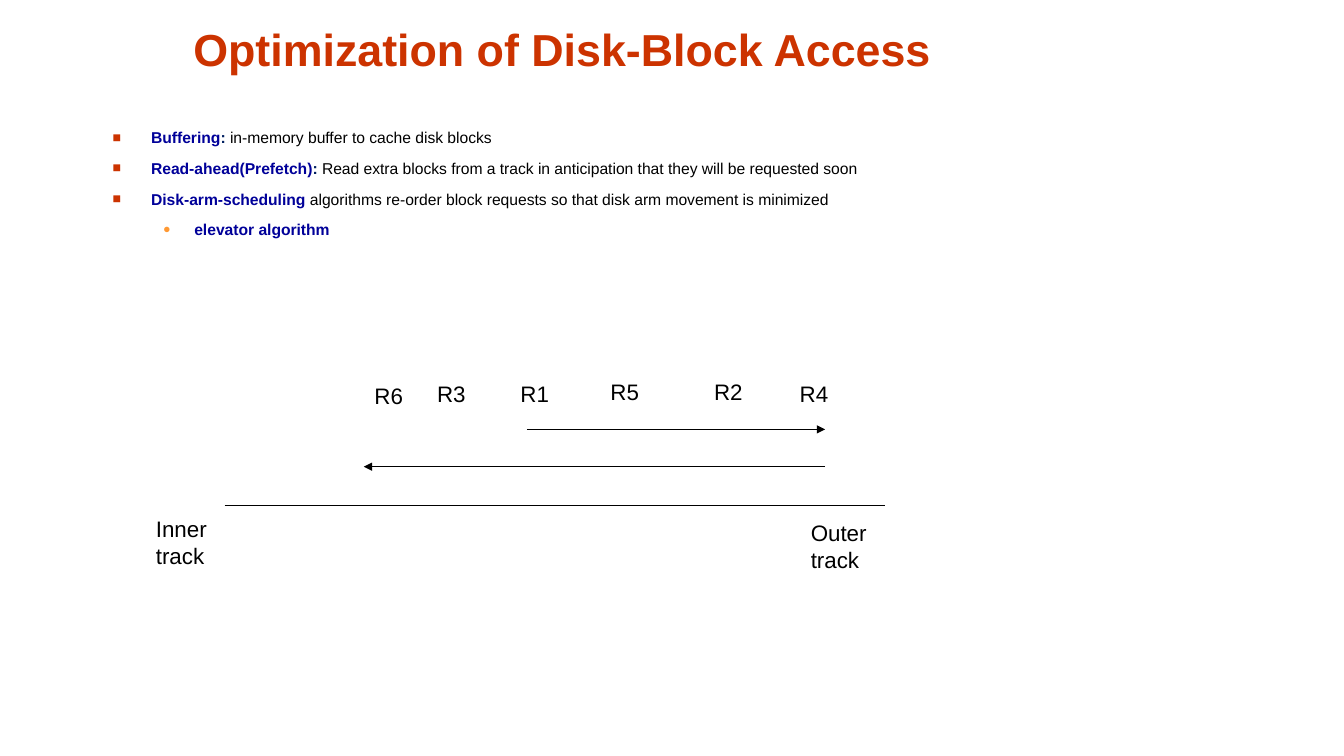
from pptx import Presentation
from pptx.enum import shapes, text
from pptx.oxml import ns, xmlchemy as xml
from pptx.dml.color import RGBColor
from pptx.util import Cm, Pt

INK = {"title": "CC3300", "key": "000099", "colon": "002060",
       "text": "000000", "dot": "FF9933"}


def add_run(par, words, size, ink="text", bold=False):
    run = par.add_run()
    run.text = words
    font = run.font
    font.name, font.size, font.bold = "Arial", Pt(size), bold
    font.color.rgb = RGBColor.from_string(INK[ink])


def add_box(parent, x, y, w, h, wrap=True):
    frame = parent.add_textbox(Cm(x), Cm(y), Cm(w), Cm(h)).text_frame
    frame.word_wrap = wrap
    return frame


def add_tag(tag, parent, attrs):
    item = xml.OxmlElement(tag)
    for key, val in attrs.items():
        item.set(key, val)
    parent.append(item)
    return item


def set_bullet(par, mark, ink, scale, left, hang):
    props = par._p.get_or_add_pPr()
    props.set("marL", str(Cm(left)))
    props.set("indent", str(-Cm(hang)))
    color = add_tag("a:buClr", props, {})
    add_tag("a:srgbClr", color, {"val": INK[ink]})
    add_tag("a:buSzPct", props, {"val": str(scale * 1000)})
    add_tag("a:buFont", props, {"typeface": "Arial"})
    add_tag("a:buChar", props, {"char": mark})


def add_line(parent, x1, x2, y, arrow=False):
    line = parent.add_connector(shapes.MSO_CONNECTOR.STRAIGHT,
                                Cm(x1), Cm(y), Cm(x2), Cm(y))
    line.line.width = Pt(0.75)
    line.line.color.rgb = RGBColor.from_string(INK["text"])
    if arrow:
        add_tag("a:tailEnd", line.line._get_or_add_ln(), {"type": "triangle"})
    props = line._element.find(ns.qn("p:spPr"))
    add_tag("a:effectLst", props, {})


def add_title(slide, x, y, w, h):
    frame = add_box(slide.shapes, x, y, w, h)
    frame.vertical_anchor = text.MSO_ANCHOR.BOTTOM
    par = frame.paragraphs[0]
    par.alignment = text.PP_ALIGN.CENTER
    add_run(par, "Optimization of Disk-Block Access", 32, "title", True)


def add_body(slide, x, y, w, h):
    # Each item: level, key term, colon, explanation
    items = [
        (0, "Buffering", ": ", "in-memory buffer to cache disk blocks"),
        (0, "Read-ahead(Prefetch)", ": ",
         "Read extra blocks from a track in anticipation that they will be requested soon"),
        (0, "Disk-arm-scheduling", "",
         " algorithms re-order block requests so that disk arm movement is minimized"),
        (1, "elevator algorithm", "", ""),
    ]
    bullets = [("■", "title", 90, 0.97, 0.97), ("●", "dot", 80, 2.06, 0.79)]
    frame = add_box(slide.shapes, x, y, w, h)
    for i, (level, key, colon, rest) in enumerate(items):
        par = frame.add_paragraph() if i else frame.paragraphs[0]
        par.level = level
        if i:
            par.space_before = Pt(8.5)
        set_bullet(par, *bullets[level])
        for words, ink, bold in ((key, "key", True), (colon, "colon", True),
                                 (rest, "text", False)):
            if words:
                add_run(par, words, 11.2, ink, bold)


def add_tracks(slide, x, y):
    group = slide.shapes.add_group_shape().shapes
    # Sweep out, sweep back, and the disk radius
    add_line(group, x + 9.6, x + 17.12, y + 1.42, arrow=True)
    add_line(group, x + 17.12, x + 5.49, y + 2.36, arrow=True)
    add_line(group, x + 1.98, x + 18.64, y + 3.33)
    # Requests and track ends
    labels = [("R6", 5.51, 0.1, 1.22), ("R3", 7.09, 0.05, 1.22),
              ("R1", 9.19, 0.05, 1.22), ("R5", 11.46, 0, 1.22),
              ("R2", 14.07, 0, 1.22), ("R4", 16.23, 0.05, 1.22),
              ("Inner track", 0, 3.45, 3.15), ("Outer track", 16.51, 3.56, 3.28)]
    for words, dx, dy, w in labels:
        frame = add_box(group, x + dx, y + dy, w, 0.94, wrap=False)
        add_run(frame.paragraphs[0], words, 16)


def main():
    deck = Presentation()
    deck.slide_width, deck.slide_height = Cm(33.88), Cm(19.05)
    slide = deck.slides.add_slide(deck.slide_layouts[6])
    add_title(slide, 2.84, 0.33, 22.68, 1.7)
    add_body(slide, 2.59, 3.1, 21.41, 5.38)
    add_tracks(slide, 3.68, 9.4)
    deck.save("out.pptx")


if __name__ == "__main__":
    main()
